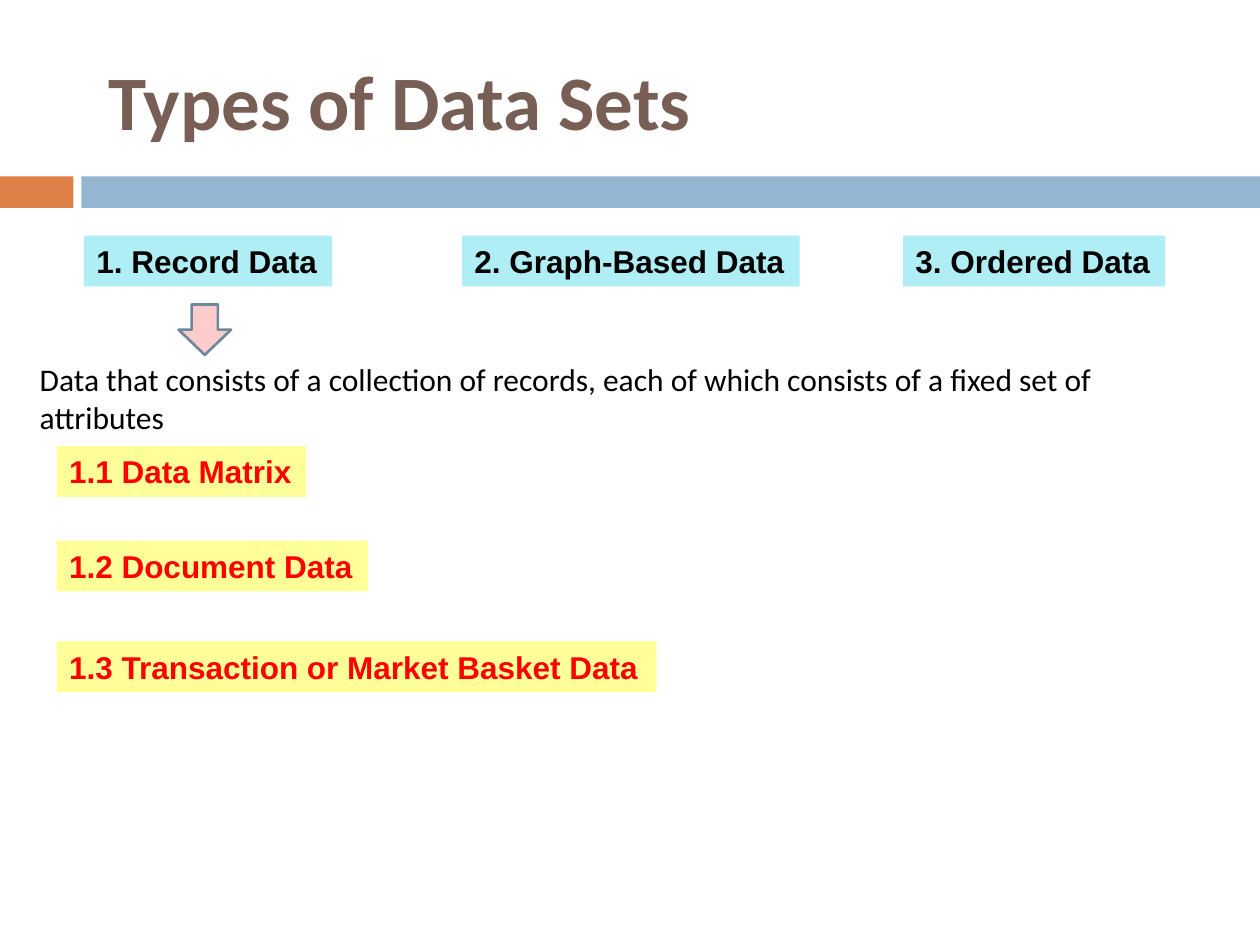
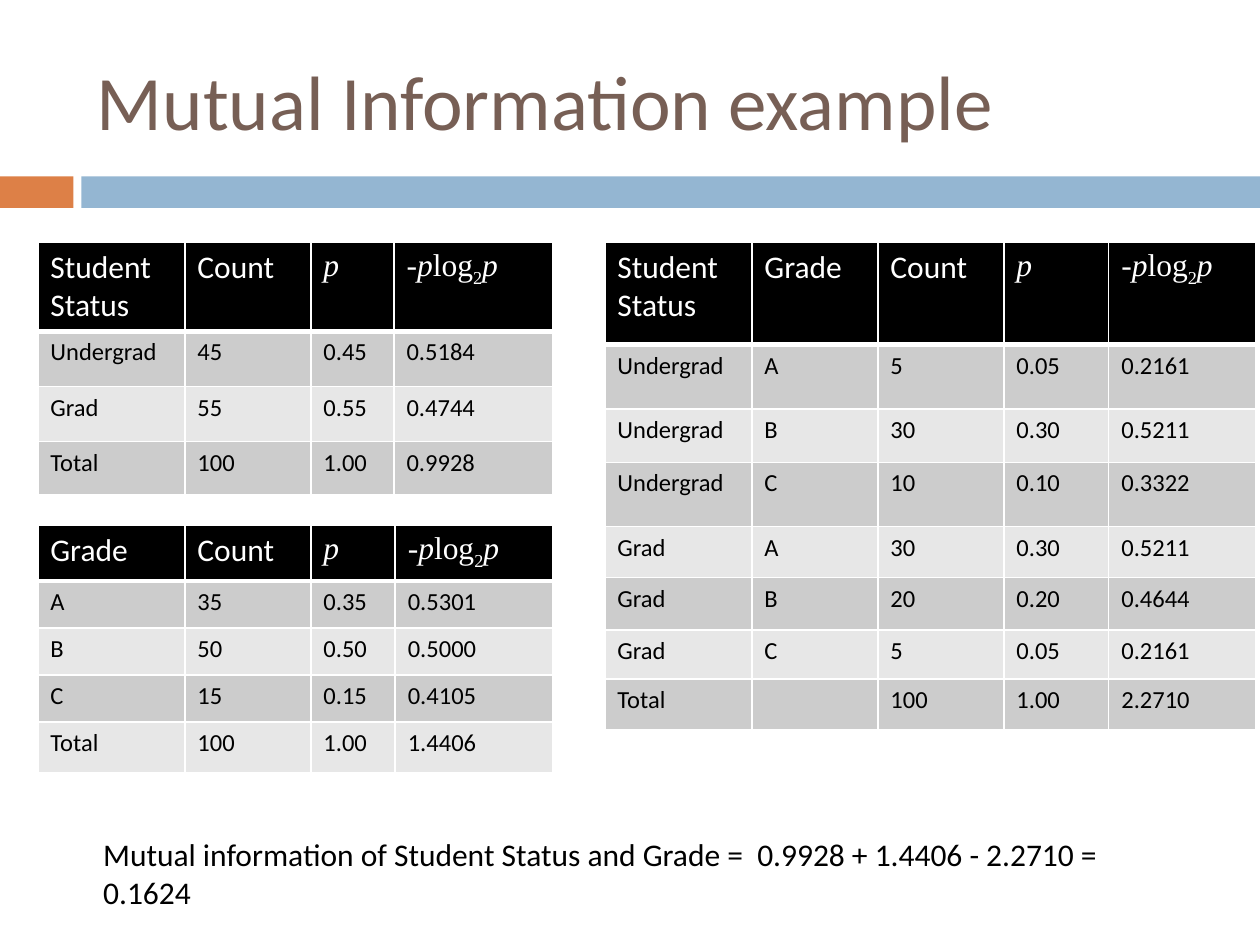
from lxml import etree
from pptx import Presentation
from pptx.dml.color import RGBColor
from pptx.enum.shapes import MSO_SHAPE
from pptx.enum.text import MSO_ANCHOR, PP_ALIGN
from pptx.oxml.ns import qn
from pptx.util import Inches, Pt

RECTANGLE, DOWN_ARROW = MSO_SHAPE.RECTANGLE, MSO_SHAPE.DOWN_ARROW
TOP, MIDDLE, LEFT = MSO_ANCHOR.TOP, MSO_ANCHOR.MIDDLE, PP_ALIGN.LEFT

BLACK = RGBColor(0x00, 0x00, 0x00)
WHITE = RGBColor(0xFF, 0xFF, 0xFF)
RED = RGBColor(0xFF, 0x00, 0x00)
TITLE_BROWN = RGBColor(0x77, 0x5F, 0x55)
BAND_ORANGE = RGBColor(0xDD, 0x80, 0x47)
BAND_BLUE = RGBColor(0x94, 0xB6, 0xD2)
TYPE_CYAN = RGBColor(0xAF, 0xEE, 0xF5)
SUBTYPE_YELLOW = RGBColor(0xFF, 0xFF, 0x99)
ARROW_PINK = RGBColor(0xFF, 0xCC, 0xCC)
ARROW_EDGE = RGBColor(0x6D, 0x87, 0x9B)
ROW_GREYS = (RGBColor(0xCC, 0xCC, 0xCC), RGBColor(0xE7, 0xE7, 0xE7))

SANS, LABEL_FONT, SERIF = "Calibri", "Arial", "Times New Roman"

prs = Presentation()
prs.slide_width, prs.slide_height = Inches(10), Inches(7.5)
UNIT = prs.slide_width / 100  # the slide is a grid of 100 columns and 75 rows


def write(frame, runs, size, color, font=SANS, bold=False):
    """Fill a text frame; each run is (text, changes to the font)."""
    paragraph = frame.paragraphs[0]
    paragraph.alignment = LEFT
    for text, changes in runs:
        run = paragraph.add_run()
        run.text = text
        run.font.size, run.font.bold = Pt(size), bold
        run.font.color.rgb = color
        run.font.name = changes.get("font", font)
        run.font.italic = changes.get("italic", False)
        if "baseline" in changes:
            run.font._element.set("baseline", changes["baseline"])


def add_block(slide, grid_place, fill, kind=RECTANGLE):
    """Add a shape, or a plain text box when fill is None."""
    place = [round(length * UNIT) for length in grid_place]
    if fill is None:
        block = slide.shapes.add_textbox(*place)
        block.text_frame.word_wrap = True
    else:
        block = slide.shapes.add_shape(kind, *place)
        block.shadow.inherit = False
        block.fill.solid()
        block.fill.fore_color.rgb = fill
        block.line.fill.background()
        block.text_frame.word_wrap = False
    block.text_frame.vertical_anchor = TOP
    return block


# Shared bands and titles
slides = []
for title, title_left, title_bold in (
    ("Types of Data Sets", 7.6, True),
    ("Mutual Information example", 6.7, False),
):
    slide = prs.slides.add_slide(prs.slide_layouts[6])
    add_block(slide, (0, 14, 5.83, 2.5), BAND_ORANGE)
    add_block(slide, (6.46, 14, 93.54, 2.5), BAND_BLUE)
    heading = add_block(slide, (title_left, 2.5, 89.2, 10.8), None).text_frame
    heading.vertical_anchor = MIDDLE
    write(heading, [(title, {})], 44, TITLE_BROWN, bold=title_bold)
    slides.append(slide)
types_slide, information_slide = slides

# Types of data sets
LABEL_HEIGHT = 4.04
for label, left, top, width, fill, color in (
    ("1. Record Data", 6.67, 18.7, 19.7, TYPE_CYAN, BLACK),
    ("2. Graph-Based Data", 36.67, 18.7, 26.8, TYPE_CYAN, BLACK),
    ("3. Ordered Data", 71.67, 18.7, 20.8, TYPE_CYAN, BLACK),
    ("1.1 Data Matrix", 4.5, 35.4, 19.8, SUBTYPE_YELLOW, RED),
    ("1.2 Document Data", 4.5, 42.9, 24.7, SUBTYPE_YELLOW, RED),
    ("1.3 Transaction or Market Basket Data", 4.5, 50.9, 47.6, SUBTYPE_YELLOW, RED),
):
    block = add_block(types_slide, (left, top, width, LABEL_HEIGHT), fill)
    write(block.text_frame, [(label, {})], 18, color, LABEL_FONT, True)

arrow = add_block(types_slide, (14.17, 24.17, 4.17, 4), ARROW_PINK, DOWN_ARROW)
arrow.line.color.rgb = ARROW_EDGE
arrow.line.width = Pt(1.5)

# Sentences on both slides
for slide, sentence, place in (
    (types_slide,
     "Data that consists of a collection of records, each of which consists "
     "of a fixed set of attributes", (2.17, 28.1, 95.8, 4)),
    (information_slide,
     "Mutual information of Student Status and Grade =  "
     "0.9928 + 1.4406 - 2.2710 = 0.1624", (7.2, 65.8, 87.5, 3.4)),
):
    write(add_block(slide, place, None).text_frame, [(sentence, {})], 18, BLACK)

# Entropy tables
MATH, UPRIGHT = {"font": SERIF, "italic": True}, {"font": SERIF}
HEADER_RUNS = {
    "p": [("p", MATH)],
    "entropy": [("-p", MATH), ("log", UPRIGHT),
                ("2", {"font": SERIF, "baseline": "-25000"}), ("p", MATH)],
}
status_rows = [
    ("Student Status", "Count", "p", "entropy"),
    ("Undergrad", "45", "0.45", "0.5184"),
    ("Grad", "55", "0.55", "0.4744"),
    ("Total", "100", "1.00", "0.9928"),
]
grade_rows = [
    ("Grade", "Count", "p", "entropy"),
    ("A", "35", "0.35", "0.5301"),
    ("B", "50", "0.50", "0.5000"),
    ("C", "15", "0.15", "0.4105"),
    ("Total", "100", "1.00", "1.4406"),
]
joint_rows = [
    ("Student Status", "Grade", "Count", "p", "entropy"),
    ("Undergrad", "A", "5", "0.05", "0.2161"),
    ("Undergrad", "B", "30", "0.30", "0.5211"),
    ("Undergrad", "C", "10", "0.10", "0.3322"),
    ("Grad", "A", "30", "0.30", "0.5211"),
    ("Grad", "B", "20", "0.20", "0.4644"),
    ("Grad", "C", "5", "0.05", "0.2161"),
    ("Total", "", "100", "1.00", "2.2710"),
]
for rows, left, top, widths, heights in (
    (status_rows, 3, 19.2, (11.67, 10, 6.6, 12.6), (7.1, 4.38, 4.38, 4.2)),
    (grade_rows, 3, 41.7, (11.67, 10, 6.7, 12.5), (4.1, 3.73, 3.73, 3.73, 4)),
    (joint_rows, 48, 19.2, (11.67, 10, 10, 8.33, 11.67),
     (8.15, 5.1, 4.25, 5.1, 4.05, 4.15, 3.9, 3.9)),
):
    place = [round(n * UNIT) for n in (left, top, sum(widths), sum(heights))]
    table = information_slide.shapes.add_table(len(rows), len(widths), *place).table
    for column, width in zip(table.columns, widths):
        column.width = round(width * UNIT)
    for row, height in zip(table.rows, heights):
        row.height = round(height * UNIT)
    for r, values in enumerate(rows):
        for c, value in enumerate(values):
            cell = table.cell(r, c)
            properties = cell._tc.get_or_add_tcPr()
            for side in ("lnL", "lnR", "lnT", "lnB"):
                thick = 3 if r == 0 and side == "lnB" else 1
                border = etree.SubElement(properties, qn(f"a:{side}"), w=str(Pt(thick)))
                paint = etree.SubElement(border, qn("a:solidFill"))
                etree.SubElement(paint, qn("a:srgbClr"), val=str(WHITE))
            cell.fill.solid()
            cell.fill.fore_color.rgb = ROW_GREYS[(r - 1) % 2] if r else BLACK
            if value:
                runs = HEADER_RUNS.get(value, [(value, {})])
                write(cell.text_frame, runs, 14 if r else 18, BLACK if r else WHITE)

prs.save("out.pptx")
